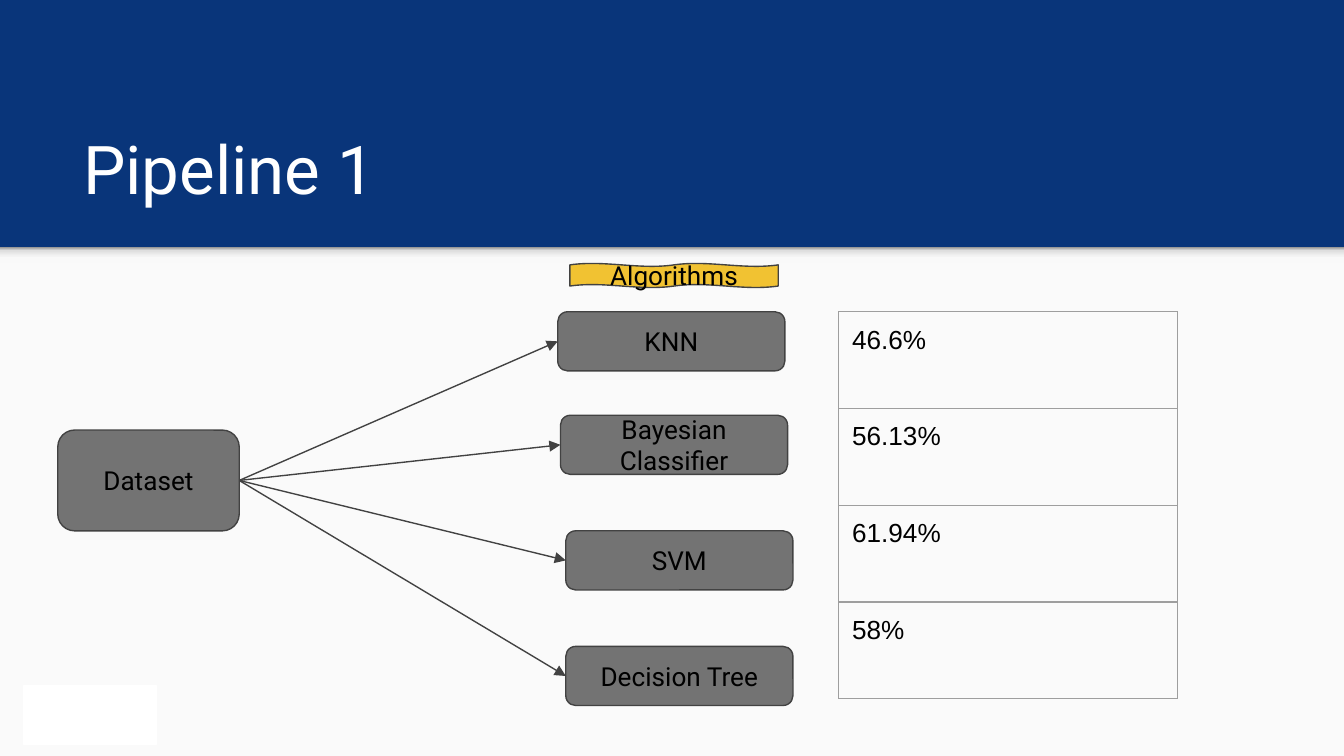
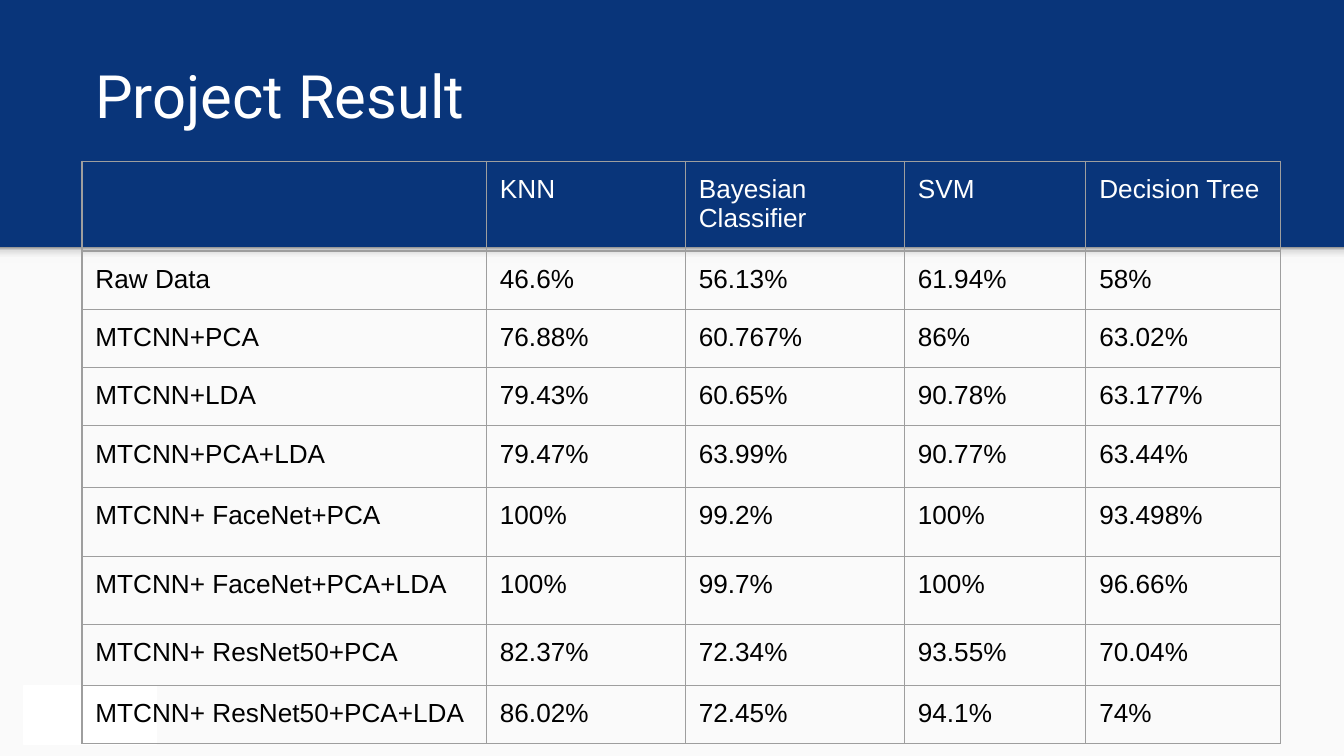
from copy import deepcopy

from lxml.etree import SubElement
from pptx import Presentation
from pptx.dml.color import RGBColor
from pptx.enum.shapes import MSO_CONNECTOR, MSO_SHAPE as SHAPE
from pptx.enum.text import MSO_ANCHOR as ANCHOR, PP_ALIGN as ALIGN
from pptx.oxml.ns import qn
from pptx.util import Inches, Pt

NAVY = RGBColor(0x09, 0x35, 0x7A)
PAPER = RGBColor(0xFA, 0xFA, 0xFA)
WHITE = RGBColor(0xFF, 0xFF, 0xFF)
BLACK = RGBColor(0, 0, 0)
GRAY = RGBColor(0x73, 0x73, 0x73)
DARK = RGBColor(0x42, 0x42, 0x42)
GOLD = RGBColor(0xF1, 0xC2, 0x32)
GRID = RGBColor(0x9E, 0x9E, 0x9E)
MIST = RGBColor(0xF9, 0xF9, 0xF9)
SHADE = [(0, MIST), (0.36, MIST), (0.8, RGBColor(0xDE, 0xDE, 0xDE)),
         (1, RGBColor(0x99, 0x99, 0x99))]

HEADING_FONT, TABLE_FONT = "Roboto", "Arial"
BODY_SIZE = 14
LINE_WIDTH = Pt(0.75)
INSET = Inches(0.1)
SLIDE_W = 10
SLIDE_H = SLIDE_W * 9 / 16
BAND_H = 1.84
TABLE_FRAME = Inches(3.28)

ALGORITHMS = ["KNN", "Bayesian Classifier", "SVM", "Decision Tree"]
RESULTS = [
    ["Raw Data", "46.6%", "56.13%", "61.94%", "58%"],
    ["MTCNN+PCA", "76.88%", "60.767%", "86%", "63.02%"],
    ["MTCNN+LDA", "79.43%", "60.65%", "90.78%", "63.177%"],
    ["MTCNN+PCA+LDA", "79.47%", "63.99%", "90.77%", "63.44%"],
    ["MTCNN+ FaceNet+PCA", "100%", "99.2%", "100%", "93.498%"],
    ["MTCNN+ FaceNet+PCA+LDA", "100%", "99.7%", "100%", "96.66%"],
    ["MTCNN+ ResNet50+PCA", "82.37%", "72.34%", "93.55%", "70.04%"],
    ["MTCNN+ ResNet50+PCA+LDA", "86.02%", "72.45%", "94.1%", "74%"],
]


class Deck:
    """Holds the shared style and the slide being drawn."""

    def __init__(self):
        self.prs = Presentation()
        self.prs.slide_width = Inches(SLIDE_W)
        self.prs.slide_height = Inches(SLIDE_H)
        self.slide = None

    def start_slide(self, title, left, top, size):
        self.slide = self.prs.slides.add_slide(self.prs.slide_layouts[6])
        bg = self.slide.background.fill
        bg.solid()
        bg.fore_color.rgb = NAVY
        self.shape(SHAPE.RECTANGLE, 0, BAND_H, SLIDE_W, SLIDE_H - BAND_H, PAPER)
        self.band_shadow()
        self.title(title, left, top, size)
        self.shape(SHAPE.RECTANGLE, 0.18, 5.1, 0.98, 0.44, WHITE, WHITE)

    def band_shadow(self):
        """Soft gradient strip just below the title band."""
        sp = self.shape(SHAPE.RECTANGLE, 0, BAND_H, SLIDE_W, 0.12, MIST)
        sp.fill.gradient()
        sp.fill.gradient_angle = 90
        stops = sp.fill.gradient_stops
        stop_list = sp._element.spPr.find(qn("a:gradFill")).find(qn("a:gsLst"))
        for _ in range(len(SHADE) - len(stops)):
            stop_list.append(deepcopy(stop_list[0]))
        for stop, (position, color) in zip(sp.fill.gradient_stops, SHADE):
            stop.position = position
            stop.color.rgb = color

    def title(self, text, left, top, size):
        box = self.slide.shapes.add_textbox(
            Inches(left), Inches(top), Inches(8.99), Inches(0.84))
        tf = box.text_frame
        self.frame(tf, ANCHOR.BOTTOM)
        self.run(tf, text, size, HEADING_FONT, WHITE)

    def frame(self, tf, anchor):
        tf.word_wrap = True
        tf.vertical_anchor = anchor
        tf.margin_left = tf.margin_right = INSET
        tf.margin_top = tf.margin_bottom = INSET

    def run(self, tf, text, size, font, color, align=ALIGN.LEFT):
        p = tf.paragraphs[0]
        p.alignment = align
        p.line_spacing = 1.0
        p.space_before = p.space_after = Pt(0)
        r = p.add_run()
        r.text = text
        r.font.size = Pt(size)
        r.font.name = font
        r.font.color.rgb = color

    def shape(self, kind, left, top, width, height, fill, line=None, text=None):
        sp = self.slide.shapes.add_shape(
            kind, Inches(left), Inches(top), Inches(width), Inches(height))
        sp.shadow.inherit = False
        sp.fill.solid()
        sp.fill.fore_color.rgb = fill
        if line is None:
            sp.line.fill.background()
        else:
            sp.line.color.rgb = line
            sp.line.width = LINE_WIDTH
        if text:
            self.frame(sp.text_frame, ANCHOR.MIDDLE)
            self.run(sp.text_frame, text, BODY_SIZE, HEADING_FONT, BLACK,
                     ALIGN.CENTER)
        return sp

    def node(self, text, left, top, width=1.69, height=0.44):
        return self.shape(SHAPE.ROUNDED_RECTANGLE, left, top, width, height,
                          GRAY, DARK, text)

    def arrow(self, source, target):
        """Arrow from the right side of source to the left side of target."""
        cx = self.slide.shapes.add_connector(MSO_CONNECTOR.STRAIGHT, 0, 0, 0, 0)
        cx.begin_connect(source, 3)
        cx.end_connect(target, 1)
        cx.line.color.rgb = DARK
        cx.line.width = LINE_WIDTH
        SubElement(cx.line._get_or_add_ln(), qn("a:tailEnd"), type="triangle")
        SubElement(cx._element.spPr, qn("a:effectLst"))

    def table(self, left, top, widths, heights, rows, header=False):
        frame = self.slide.shapes.add_table(
            len(heights), len(widths), Inches(left), Inches(top),
            TABLE_FRAME, TABLE_FRAME)
        table = frame.table
        table.first_row = table.horz_banding = False
        for column, width in zip(table.columns, widths):
            column.width = Inches(width)
        for row, height in zip(table.rows, heights):
            row.height = Inches(height)
        frame.width = frame.height = TABLE_FRAME
        for i, row in enumerate(rows):
            color = WHITE if header and i == 0 else BLACK
            for j, text in enumerate(row):
                self.cell(table.cell(i, j), text, color)

    def cell(self, cell, text, color):
        cell.margin_left = cell.margin_right = INSET
        cell.margin_top = cell.margin_bottom = INSET
        tc_pr = cell._tc.get_or_add_tcPr()
        for side in ("lnL", "lnR", "lnT", "lnB"):
            ln = SubElement(tc_pr, qn(f"a:{side}"), w=str(LINE_WIDTH))
            fill = SubElement(ln, qn("a:solidFill"))
            SubElement(fill, qn("a:srgbClr"), val=str(GRID))
        cell.fill.background()
        if text:
            self.run(cell.text_frame, text, BODY_SIZE, TABLE_FONT, color)


def pipeline_slide(deck):
    deck.start_slide("Pipeline 1", 0.52, 0.81, 36)
    dataset = deck.node("Dataset", 0.43, 3.2, 1.35, 0.75)
    places = [(4.15, 2.32), (4.17, 3.09), (4.21, 3.95), (4.21, 4.81)]
    nodes = [deck.node(name, *place) for name, place in zip(ALGORITHMS, places)]
    for node in nodes:
        deck.arrow(dataset, node)
    raw_scores = [[score] for score in RESULTS[0][1:]]
    deck.table(6.24, 2.32, [2.52], [0.72] * len(raw_scores), raw_scores)
    deck.shape(SHAPE.DOUBLE_WAVE, 4.24, 1.96, 1.55, 0.18, GOLD, DARK,
               "Algorithms")


def result_slide(deck):
    deck.start_slide("Project Result", 0.61, 0.23, 32)
    deck.table(0.61, 1.2, [3.01, 1.48, 1.63, 1.35, 1.45],
               [0.64, 0.42, 0.34, 0.43, 0.46, 0.51, 0.51, 0.45, 0.4],
               [["", *ALGORITHMS], *RESULTS], header=True)


def main():
    deck = Deck()
    pipeline_slide(deck)
    result_slide(deck)
    deck.prs.save("out.pptx")


if __name__ == "__main__":
    main()
